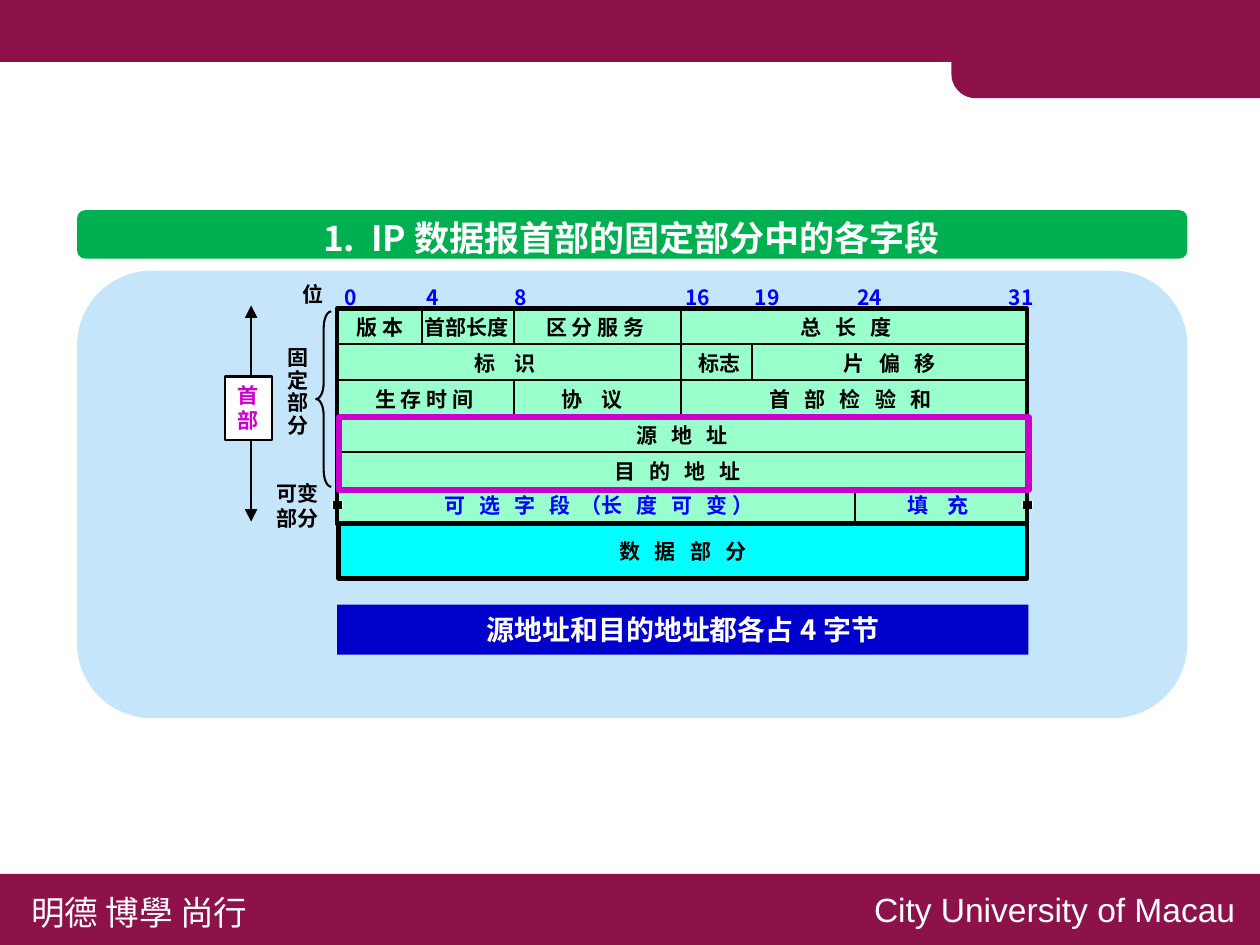
from math import cos, pi, sin

from lxml.etree import SubElement
from pptx import Presentation
from pptx.dml.color import RGBColor
from pptx.enum.shapes import MSO_CONNECTOR, MSO_SHAPE
from pptx.enum.text import MSO_ANCHOR, PP_ALIGN
from pptx.oxml.ns import qn
from pptx.util import Inches, Pt

CJK = "Noto Sans CJK SC"
MAROON, BLUE, BLACK, WHITE, PURPLE = "8D124A", "0000FF", "000000", "FFFFFF", "CC00CC"


def color(code):
    """Turn a hex string into a colour."""
    return RGBColor.from_string(code)


def paint(shape, fill=None, line=None, width=1):
    """Set fill and outline of a shape, without shadow."""
    shape.shadow.inherit = False
    if fill:
        shape.fill.solid()
        shape.fill.fore_color.rgb = color(fill)
    else:
        shape.fill.background()
    if line:
        shape.line.color.rgb = color(line)
        shape.line.width = Pt(width)
    else:
        shape.line.fill.background()


def block(slide, box, fill=None, line=None, width=1, kind=MSO_SHAPE.RECTANGLE, bend=()):
    """Add a preset shape in a box."""
    shape = slide.shapes.add_shape(kind, *map(Inches, box))
    for index, value in enumerate(bend):
        shape.adjustments[index] = value
    paint(shape, fill, line, width)
    return shape


def rule(slide, x1, y1, x2, y2, width=1, heads=False):
    """Add a black line, with arrowheads if asked."""
    line = slide.shapes.add_connector(MSO_CONNECTOR.STRAIGHT, *map(Inches, (x1, y1, x2, y2)))
    line.line.color.rgb = color(BLACK)
    line.line.width = Pt(width)
    if heads:
        for end in ("headEnd", "tailEnd"):
            SubElement(line.line._get_or_add_ln(), qn("a:" + end), type="triangle")
    SubElement(line._element.spPr, qn("a:effectLst"))


def write(shape, rows, size=10, ink=BLACK, bold=True, face=CJK, pad=0.08,
          align=PP_ALIGN.LEFT, pitch=1.2):
    """Fill a shape with paragraphs of (text, letter gap) runs."""
    frame = shape.text_frame
    frame.word_wrap = False
    frame.vertical_anchor = MSO_ANCHOR.TOP
    frame.margin_left = frame.margin_right = Inches(pad)
    frame.margin_top = frame.margin_bottom = Inches(pad / 2)
    for index, runs in enumerate(rows):
        para = frame.add_paragraph() if index else frame.paragraphs[0]
        para.alignment = align
        para.line_spacing = Pt(size * pitch)
        for words, gap in runs:
            run = para.add_run()
            run.text = words
            run.font.size = Pt(size)
            run.font.bold = bold
            run.font.color.rgb = color(ink)
            run.font.name = face
            props = run.font._element
            SubElement(props, qn("a:ea"), typeface=face)
            if gap:
                props.set("spc", str(int(gap * 100)))


def label(slide, box, rows, **style):
    """Add a text box."""
    write(slide.shapes.add_textbox(*map(Inches, box)), rows, **style)


def frame(slide, wide, high):
    """Draw the bars at the top and bottom of the slide."""
    block(slide, (0, 0, wide, 0.41), MAROON)
    left, top, low, round_ = 6.29, 0.02, 0.65, 0.16
    arc = [(cx, cy, (start + step * 10) * pi / 180)
           for cx, cy, start in ((left + round_, low - round_, 90), (left + round_, top + round_, 180))
           for step in range(10)]
    points = [(wide, low)] + [(x + round_ * cos(a), y + round_ * sin(a)) for x, y, a in arc]
    path = slide.shapes.build_freeform(Inches(wide), Inches(top), scale=1.0)
    path.add_line_segments([(Inches(x), Inches(y)) for x, y in points])
    paint(path.convert_to_shape(), MAROON)
    block(slide, (0, high - 0.47, wide, 0.47), MAROON)
    plain = dict(size=16, ink=WHITE, bold=False, pad=0.1)
    label(slide, (0.11, high - 0.4, 1.68, 0.37), [[("明德 博學 尚行", 0)]], **plain)
    label(slide, (5.68, high - 0.42, 2.62, 0.37), [[("City University of Macau", 0)]],
          face="Arial", **plain)


def panel(slide, x, y, wide):
    """Draw the heading band and the pale panel below it."""
    shape = dict(kind=MSO_SHAPE.ROUNDED_RECTANGLE, bend=[0.167])
    block(slide, (x, y, wide, 0.32), "00B050", **shape)
    label(slide, (x + 1.49, y - 0.01, 4.35, 0.38),
          [[("1.", 0), (" ", 3.8), ("IP 数据报首部的固定部分中的各字段", 0)]],
          size=16.7, ink=WHITE, pad=0.1, align=PP_ALIGN.CENTER)
    block(slide, (x, y + 0.4, wide, 2.96), "C5E5FB", **shape)


def header(slide, x, y, wide, step):
    """Draw the grid of header fields and the data part."""
    right, base = x + wide, y + 6 * step
    block(slide, (x, y, wide, 6 * step), "99FFCC", BLACK, 2)
    data = block(slide, (x + 0.01, base, wide - 0.01, 0.36), "00FFFF", BLACK, 2.25)
    write(data, [[("数 据 部 分", 2.25)]], align=PP_ALIGN.CENTER)
    data.text_frame.margin_top = Inches(0.1)
    for row in range(1, 6):
        rule(slide, x, y + row * step, right, y + row * step)
    for dx, first, last in ((0.56, 0, 1), (1.17, 0, 1), (1.17, 2, 3),
                            (2.27, 0, 3), (2.74, 1, 2), (3.42, 5, 6)):
        rule(slide, x + dx, y + first * step, x + dx, y + last * step)
    for dx, bit in ((-0.03, 0), (0.51, 4), (1.09, 8), (2.22, 16), (2.68, 19), (3.36, 24), (4.36, 31)):
        label(slide, (x + dx, y - 0.2, 0.25 if bit < 10 else 0.34, 0.25), [[(str(bit), 0)]], ink=BLUE)
    label(slide, (x - 0.31, y - 0.22, 0.31, 0.25), [[("位", 0)]])
    fields = [
        (0.05, 0, 0.49, "版 本", 0), (0.5, 0, 0.73, "首部长度", 0),
        (1.3, 0, 0.85, "区 分 服 务", 0), (2.98, 0, 0.84, "总 长 度", 2.25),
        (0.83, 1, 0.62, "标 识", 3.4), (2.31, 1, 0.45, "标志", 0), (3.27, 1, 0.84, "片 偏 移", 2.25),
        (0.17, 2, 0.85, "生 存 时 间", 0), (1.4, 2, 0.62, "协 议", 3.4),
        (2.78, 2, 1.37, "首 部 检 验 和", 2.25),
        (1.9, 3, 0.84, "源 地 址", 2.25), (1.75, 4, 1.11, "目 的 地 址", 2.25),
    ]
    for dx, row, span, words, gap in fields:
        label(slide, (x + dx, y + row * step, span, 0.25), [[(words, gap)]])
    option = [("可 选 字 段", 2.25), (" （", 0), ("长 度 可 变", 2.25), ("）", 0)]
    label(slide, (x + 0.63, base - 0.25, 2.41, 0.25), [option], ink=BLUE)
    label(slide, (x + 3.69, base - 0.25, 0.62, 0.25), [[("填 充", 3.4)]], ink=BLUE)
    for edge in (x - 0.03, right - 0.03):
        block(slide, (edge - 0.01, base - 0.15, 0.08, 0.04), WHITE)
        for up in (0.14, 0.11):
            rule(slide, edge, base - up, edge + 0.06, base - up, 2)


def legend(slide, x, y):
    """Draw the names of the header parts left of the grid."""
    label(slide, (x + 0.33, y + 0.22, 0.31, 0.69), [[(c, 0)] for c in "固定部分"], pitch=1.07)
    label(slide, (x + 0.26, y + 1.1, 0.45, 0.42), [[("可变", 0)], [("部分", 0)]])
    block(slide, (x + 0.6, y + 0.02, 0.1, 1.16), None, BLACK, 1, MSO_SHAPE.LEFT_BRACE, [1.08, 0.5])
    rule(slide, x + 0.17, y - 0.02, x + 0.17, y + 1.41, heads=True)
    box = block(slide, (x, y + 0.45, 0.31, 0.42), WHITE, BLACK)
    write(box, [[(c, 0)] for c in "首部"], ink=PURPLE)


def note(slide, x, y, wide):
    """Draw the blue remark and the frame around both addresses."""
    band = block(slide, (x, y, wide, 0.33), "0000CC")
    write(band, [[("源地址和目的地址都各占 4 字节", 0)]], size=13.3, ink=WHITE, pad=0.1,
          align=PP_ALIGN.CENTER)
    block(slide, (x + 0.01, y - 1.24, wide - 0.01, 0.48), None, PURPLE, 3)


def main():
    """Build and save the slide."""
    deck = Presentation()
    deck.slide_width, deck.slide_height = Inches(8.33), Inches(6.25)
    slide = deck.slides.add_slide(deck.slide_layouts[6])
    frame(slide, 8.33, 6.25)
    panel(slide, 0.51, 1.39, 7.34)
    header(slide, 2.23, 2.04, 4.56, 0.2375)
    legend(slide, 1.49, 2.04)
    note(slide, 2.23, 4, 4.57)
    deck.save("out.pptx")


if __name__ == "__main__":
    main()
